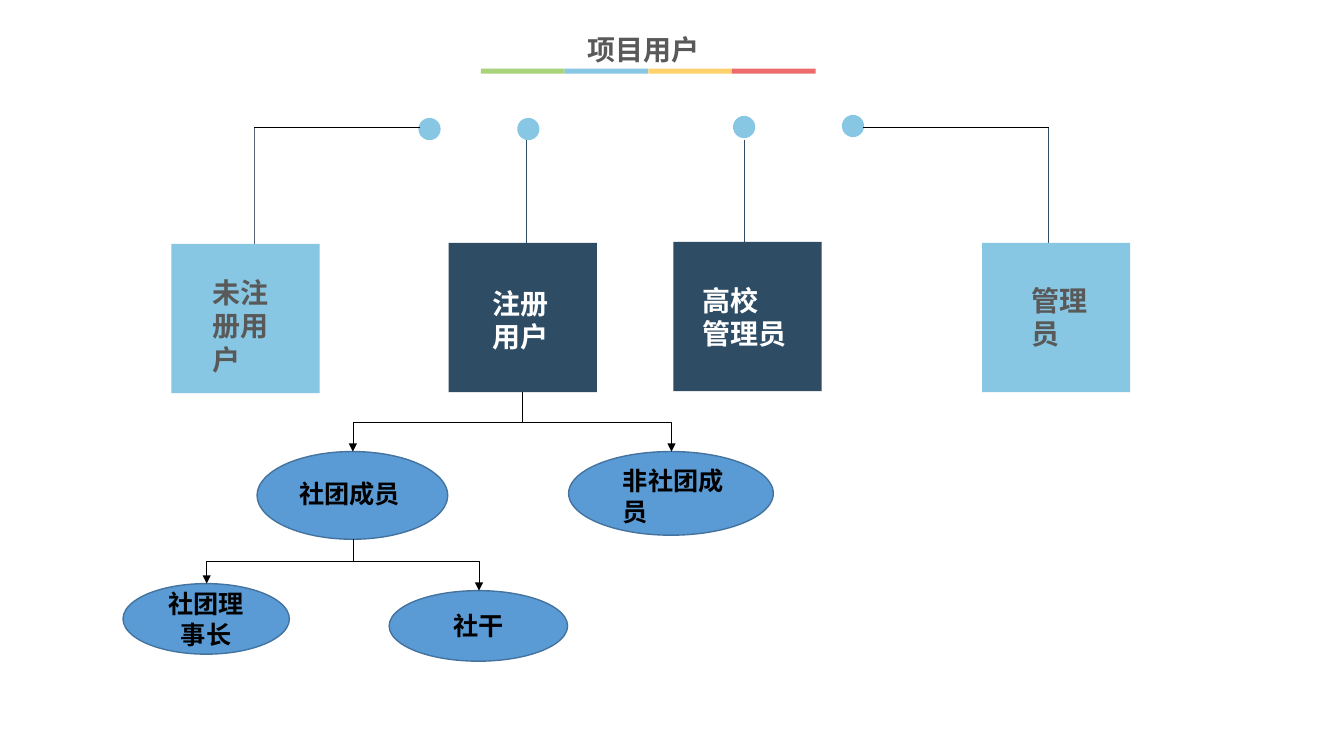
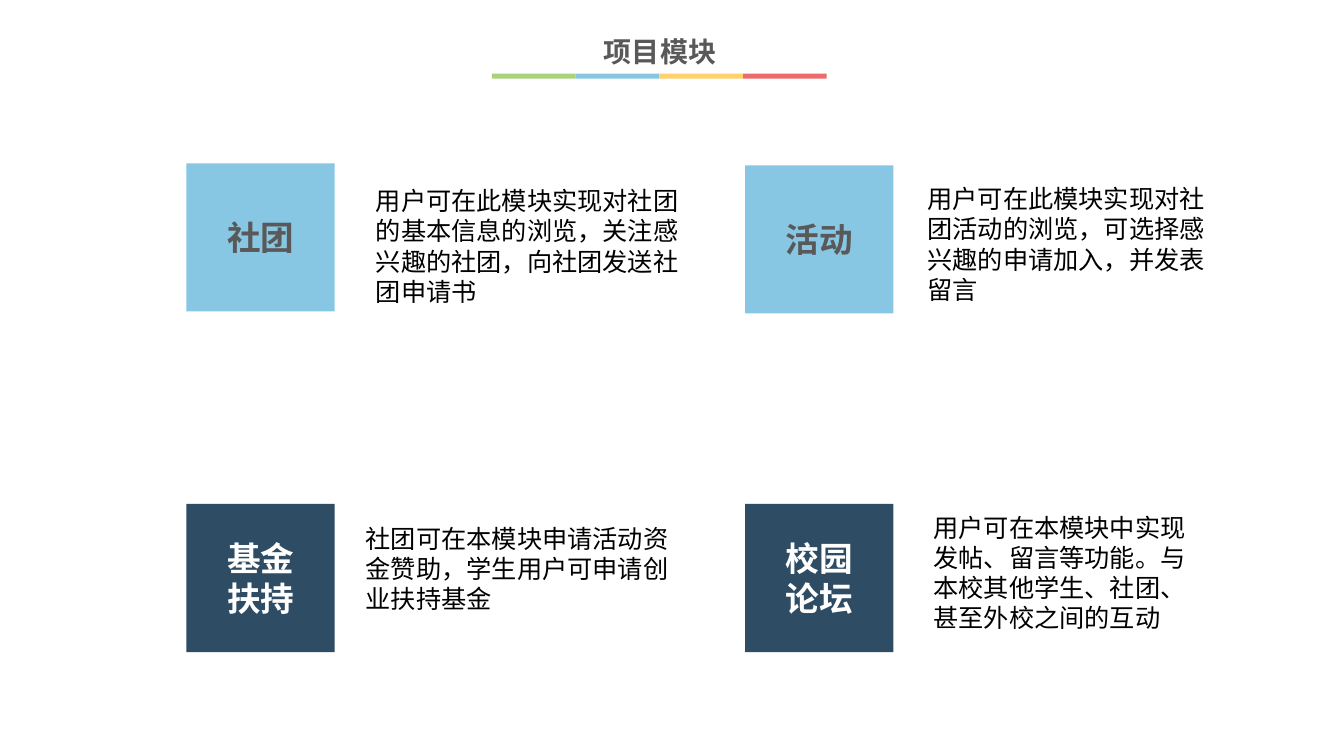
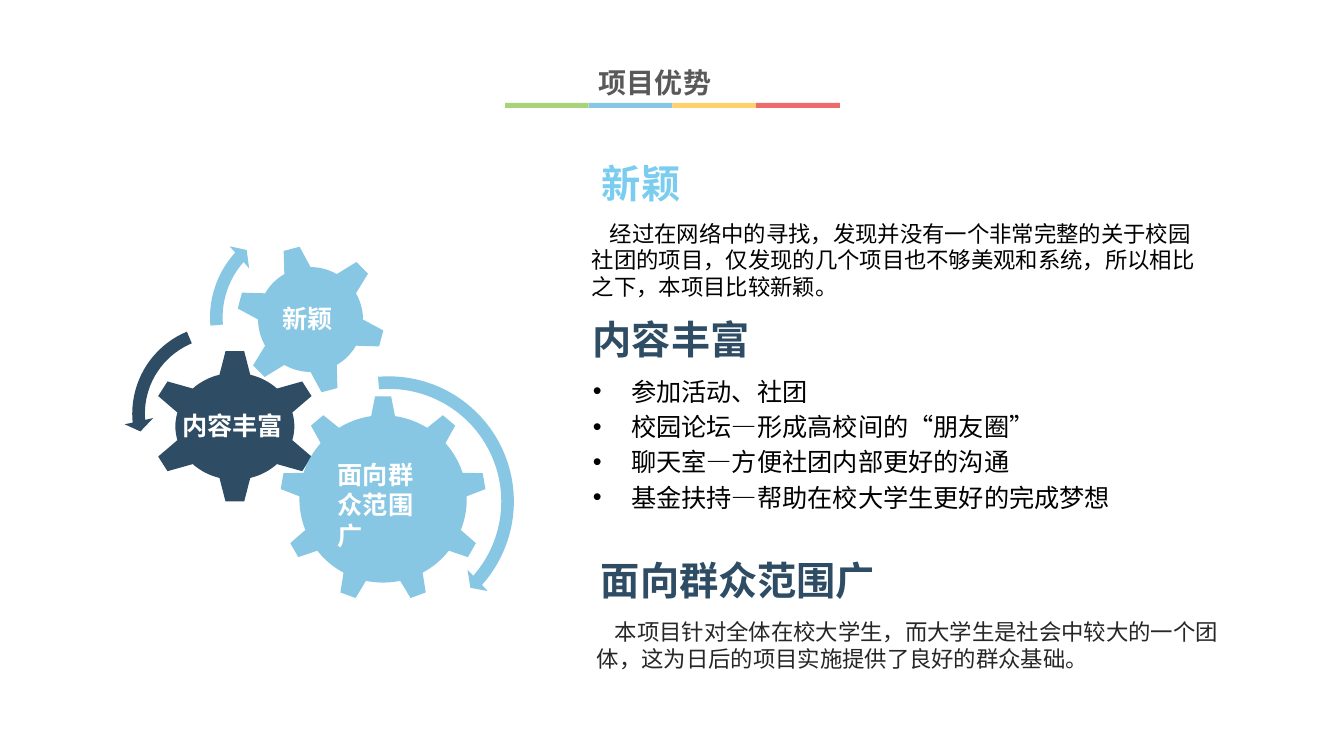
from dataclasses import dataclass
from math import cos, radians, sin

from lxml import etree
from pptx import Presentation
from pptx.dml.color import RGBColor
from pptx.enum.shapes import MSO_CONNECTOR as Connector, MSO_SHAPE as Preset
from pptx.enum.text import MSO_ANCHOR as Anchor, MSO_AUTO_SIZE as AutoSize, PP_ALIGN as Align
from pptx.oxml.ns import qn
from pptx.util import Inches, Pt


@dataclass(frozen=True)
class Theme:
    font: str = "Noto Sans CJK SC"
    sky: str = "87C7E3"
    navy: str = "2E4C64"
    azure: str = "7ACDEF"
    oval: str = "5B9BD5"
    oval_line: str = "43739E"
    slate: str = "556370"
    grey: str = "595959"
    ink: str = "262626"
    black: str = "000000"
    white: str = "FFFFFF"
    bars: tuple = ("A8D37A", "87C7E3", "FED16C", "ED6B6D")
    heading: int = 28
    label: int = 24
    title: int = 20
    body: int = 18
    detail: int = 16


THEME = Theme()
WIDE_INSETS = (0.13, 0.07)
TITLE_ONLY, TITLE_AND_BODY = 5, 1


def rgb(value):
    return RGBColor.from_string(value)


def write(frame, text, *, size=THEME.body, color=THEME.black, bold=False,
          align=Align.LEFT, anchor=Anchor.TOP, insets=(0.1, 0.05),
          before=0, indent=0, hanging=0, bullet=None):
    """Fill a text frame, one paragraph for each line of text."""
    frame.word_wrap = True
    frame.auto_size = AutoSize.NONE
    frame.vertical_anchor = anchor
    frame.margin_left = frame.margin_right = Inches(insets[0])
    frame.margin_top = frame.margin_bottom = Inches(insets[1])
    for index, line in enumerate(text.split("\n")):
        paragraph = frame.add_paragraph() if index else frame.paragraphs[0]
        paragraph.alignment = align
        paragraph.space_before = Pt(before)
        properties = paragraph._p.get_or_add_pPr()
        properties.set("marL", str(Inches(hanging)))
        properties.set("indent", str(Inches(indent - hanging)))
        if bullet:
            etree.SubElement(properties, qn("a:buFont")).set("typeface", "Arial")
            etree.SubElement(properties, qn("a:buChar")).set("char", bullet)
        run = paragraph.add_run()
        run.text = line
        font = run.font
        font.name, font.size, font.bold = THEME.font, Pt(size), bold
        font.color.rgb = rgb(color)
        east_asian = etree.SubElement(run._r.get_or_add_rPr(), qn("a:ea"))
        east_asian.set("typeface", THEME.font)


class Deck:
    """Holds the presentation, its style and the slide being drawn."""

    def __init__(self):
        self.presentation = Presentation()
        self.presentation.slide_width = Inches(13.33)
        self.presentation.slide_height = Inches(7.5)
        self.slide = None

    def new_slide(self, title, title_at, bars_at, layout=TITLE_ONLY):
        layouts = self.presentation.slide_layouts
        self.slide = self.presentation.slides.add_slide(layouts[layout])
        left, top = bars_at
        for index, color in enumerate(THEME.bars):
            self.shape(Preset.RECTANGLE, left + index * 0.83, top, 0.83, 0.05, color)
        self.place(self.slide.shapes.title, *title_at, 2.83, 0.45)
        write(self.slide.shapes.title.text_frame, title,
              size=THEME.title, color=THEME.grey, bold=True)

    def place(self, shape, left, top, width, height):
        shape.left, shape.top = Inches(left), Inches(top)
        shape.width, shape.height = Inches(width), Inches(height)

    def paint(self, shape, fill, line=None):
        shape.shadow.inherit = False
        shape.fill.solid()
        shape.fill.fore_color.rgb = rgb(fill)
        if line:
            shape.line.color.rgb = rgb(line)
            shape.line.width = Pt(1)
        else:
            shape.line.fill.background()

    def shape(self, preset, left, top, width, height, fill, line=None,
              text=None, adjustments=(), **style):
        shape = self.slide.shapes.add_shape(
            preset, Inches(left), Inches(top), Inches(width), Inches(height))
        self.paint(shape, fill, line)
        for index, value in enumerate(adjustments):
            shape.adjustments[index] = value
        if text:
            write(shape.text_frame, text, bold=True, align=Align.CENTER,
                  anchor=Anchor.MIDDLE, **style)

    def text(self, text, left, top, width, height, fill=None, **style):
        box = self.slide.shapes.add_textbox(
            Inches(left), Inches(top), Inches(width), Inches(height))
        if fill:
            self.paint(box, fill)
        write(box.text_frame, text, **style)

    def bullets(self, text, left, top, width, height):
        body = self.slide.placeholders[1]
        self.place(body, left, top, width, height)
        write(body.text_frame, text, insets=WIDE_INSETS, before=THEME.body * 0.2,
              hanging=0.38, bullet="•")

    def line(self, start, end, color=THEME.black, kind=Connector.STRAIGHT):
        connector = self.slide.shapes.add_connector(
            kind, *(Inches(value) for value in (*start, *end)))
        connector.line.color.rgb = rgb(color)
        connector.line.width = Pt(0.5)
        etree.SubElement(connector._element.spPr, qn("a:effectLst"))
        return connector

    def branch(self, start, end, drop):
        """Arrow that goes down by drop, then sideways, then down to its end."""
        connector = self.line(start, end, kind=Connector.ELBOW)
        across, down = end[0] - start[0], end[1] - start[1]
        middle_x, middle_y = start[0] + across / 2, start[1] + down / 2
        self.place(connector, middle_x - down / 2, middle_y - abs(across) / 2,
                   down, abs(across))
        properties = connector._element.spPr
        frame = properties.find(qn("a:xfrm"))
        frame.attrib.pop("flipH", None)
        frame.set("rot", str((90 if across < 0 else 270) * 60000))
        if across > 0:
            frame.set("flipH", "1")
        guides = properties.find(qn("a:prstGeom")).get_or_add_avLst()
        guide = etree.SubElement(guides, qn("a:gd"))
        guide.set("name", "adj1")
        guide.set("fmla", f"val {round(drop / down * 100000)}")
        arrow = etree.SubElement(connector.line._get_or_add_ln(), qn("a:tailEnd"))
        arrow.set("type", "triangle")

    def gear(self, center, body, tip, teeth, root_angle, tip_angle, fill, turn=0):
        """Gear outline; body and tip are (x, y) radii, angles are half widths."""
        def point(radii, angle):
            return (Inches(center[0] + radii[0] * sin(radians(angle))),
                    Inches(center[1] - radii[1] * cos(radians(angle))))

        pitch, arc_steps = 360 / teeth, 8
        gap = pitch - 2 * root_angle
        points = []
        for tooth in range(teeth):
            middle = turn + tooth * pitch
            points += [point(tip, middle - tip_angle), point(tip, middle + tip_angle)]
            points += [point(body, middle + root_angle + gap * step / arc_steps)
                       for step in range(arc_steps + 1)]
        builder = self.slide.shapes.build_freeform(*points[0])
        builder.add_line_segments(points[1:], close=True)
        self.paint(builder.convert_to_shape(), fill)


def users_slide(deck):
    deck.new_slide("项目用户", (5.73, 0.27), (4.77, 0.68))
    for left, top in ((4.15, 1.17), (5.13, 1.17), (7.27, 1.15), (8.35, 1.14)):
        deck.shape(Preset.OVAL, left, top, 0.22, 0.22, THEME.sky)
    for x, top, color in ((2.52, 1.26, THEME.slate), (5.22, 1.39, THEME.navy),
                          (7.38, 1.39, THEME.navy), (10.4, 1.26, THEME.navy)):
        deck.line((x, top), (x, top + 1.61), color)
    deck.line((4.17, 1.26), (2.52, 1.26))
    deck.line((8.56, 1.26), (10.4, 1.26))

    for left, top, fill, color, label, label_at in (
            (1.7, 2.42, THEME.sky, THEME.grey, "未注册用户", (2.01, 2.68, 0.78, 1.12)),
            (4.45, 2.41, THEME.navy, THEME.white, "注册用户", (4.79, 2.79, 0.77, 0.8)),
            (6.68, 2.4, THEME.navy, THEME.white, "高校\n管理员", (6.87, 2.76, 1.08, 0.77)),
            (9.74, 2.41, THEME.sky, THEME.grey, "管理员", (10.13, 2.76, 0.78, 0.79))):
        deck.shape(Preset.RECTANGLE, left, top, 1.47, 1.48, fill)
        deck.text(label, *label_at, size=THEME.title, color=color, bold=True)

    for oval_at, label in (((2.55, 4.48, 1.89, 0.87), None),
                           ((5.64, 4.48, 2.03, 0.83), None),
                           ((1.22, 5.79, 1.65, 0.7), "社团理事长"),
                           ((3.86, 5.86, 1.77, 0.7), "社干")):
        deck.shape(Preset.OVAL, *oval_at, THEME.oval, THEME.oval_line, label)
    deck.text("社团成员", 2.87, 4.7, 1.26, 0.4, bold=True)
    deck.text("非社团成员", 6.08, 4.57, 1.24, 0.71, bold=True)

    for start, end, drop in (((5.18, 3.89), (3.5, 4.48), 0.3),
                             ((5.18, 3.89), (6.66, 4.48), 0.3),
                             ((3.5, 5.35), (2.05, 5.79), 0.22),
                             ((3.5, 5.35), (4.75, 5.86), 0.22)):
        deck.branch(start, end, drop)


def modules_slide(deck):
    deck.new_slide("项目模块", (5.89, 0.29), (4.88, 0.73))
    for left, top, fill, color, name, detail, detail_at in (
            (1.85, 1.62, THEME.sky, THEME.grey, "社团",
             "用户可在此模块实现对社团的基本信息的浏览，关注感兴趣的社团，向社团发送社团申请书",
             (3.63, 1.79, 3.33, 1.32)),
            (7.39, 1.64, THEME.sky, THEME.grey, "活动",
             "用户可在此模块实现对社团活动的浏览，可选择感兴趣的申请加入，并发表留言",
             (9.1, 1.77, 3.04, 1.32)),
            (1.85, 5, THEME.navy, THEME.white, "基金\n扶持",
             "社团可在本模块申请活动资金赞助，学生用户可申请创业扶持基金",
             (3.53, 5.14, 3.27, 1.02)),
            (7.39, 5, THEME.navy, THEME.white, "校园\n论坛",
             "用户可在本模块中实现发帖、留言等功能。与本校其他学生、社团、甚至外校之间的互动",
             (9.16, 5.03, 2.89, 1.32))):
        deck.shape(Preset.RECTANGLE, left, top, 1.47, 1.47, fill, text=name,
                   size=THEME.label, color=color)
        deck.text(detail, *detail_at)


def strengths_slide(deck):
    deck.new_slide("项目优势", (5.84, 0.6), (5.01, 1.02), TITLE_AND_BODY)
    for preset, left, top, side, fill, adjustments in (
            (Preset.CIRCULAR_ARROW, 2.53, 3.65, 2.65, THEME.sky,
             (0.047, 2.99, 24.952, 159.072, 0.055)),
            (Preset.LEFT_CIRCULAR_ARROW, 1.23, 3.14, 1.93, THEME.navy,
             (0.065, 4.3, 104.891, 148.378, 0.075)),
            (Preset.CIRCULAR_ARROW, 2, 2.11, 2.08, THEME.sky,
             (0.06, 3.941, 133.138, 105.082, 0.07))):
        deck.shape(preset, left, top, side, side, fill, adjustments=adjustments)

    deck.gear((3.08, 3.17), (0.52, 0.52), (0.73, 0.73), 6, 15, 6.4, THEME.sky, turn=45)
    deck.gear((2.33, 4.23), (0.59, 0.53), (0.83, 0.75), 6, 15, 6.4, THEME.navy)
    deck.gear((3.8, 4.95), (0.83, 0.83), (1.02, 1.02), 9, 8.2, 4.5, THEME.sky)
    for label, label_at, fill in (
            ("新颖", (2.7, 2.96, 1.09, 0.42), None),
            ("内容丰富", (1.71, 4.02, 1.23, 0.42), None),
            ("面向群众范围广", (3.25, 4.51, 1.09, 1.02), THEME.sky)):
        deck.text(label, *label_at, fill=fill, color=THEME.white, bold=True)

    for heading, left, top, width, color in (
            ("新颖", 5.84, 1.51, 2.07, THEME.azure),
            ("内容丰富", 5.75, 3.06, 2.07, THEME.navy),
            ("面向群众范围广", 5.83, 5.45, 3.23, THEME.navy)):
        deck.text(heading, left, top, width, 0.55, size=THEME.heading, color=color,
                  bold=True, insets=WIDE_INSETS, before=THEME.heading * 0.2)
    for detail, detail_at, color in (
            ("经过在网络中的寻找，发现并没有一个非常完整的关于校园社团的项目，"
             "仅发现的几个项目也不够美观和系统，所以相比之下，本项目比较新颖。",
             (5.74, 2.11, 6.42, 0.94), THEME.black),
            ("本项目针对全体在校大学生，而大学生是社会中较大的一个团体，"
             "这为日后的项目实施提供了良好的群众基础。",
             (5.79, 6.06, 6.53, 0.67), THEME.ink)):
        deck.text(detail, *detail_at, size=THEME.detail, color=color,
                  insets=WIDE_INSETS, before=THEME.detail * 0.2, indent=0.18)
    deck.bullets("参加活动、社团\n校园论坛—形成高校间的“朋友圈”\n"
                 "聊天室—方便社团内部更好的沟通\n基金扶持—帮助在校大学生更好的完成梦想",
                 5.75, 3.66, 6.61, 1.53)


def main():
    deck = Deck()
    users_slide(deck)
    modules_slide(deck)
    strengths_slide(deck)
    deck.presentation.save("out.pptx")


if __name__ == "__main__":
    main()
